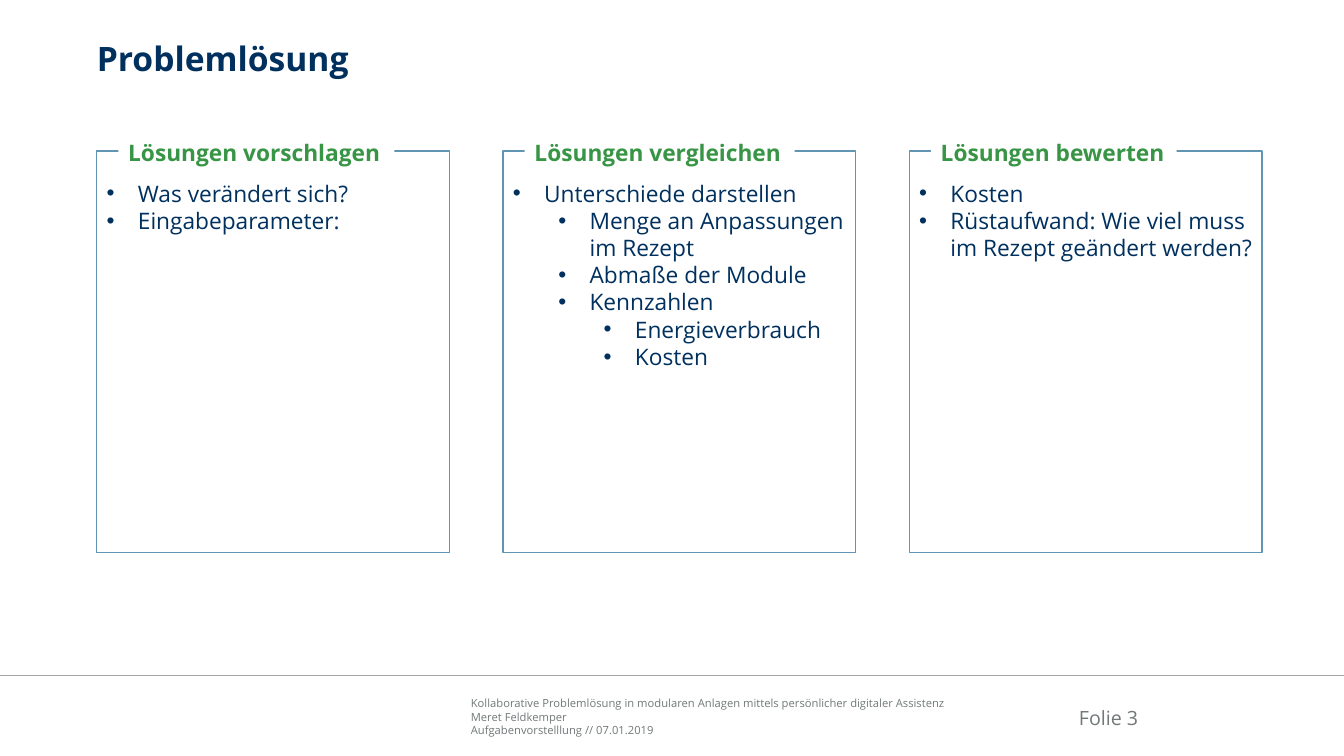
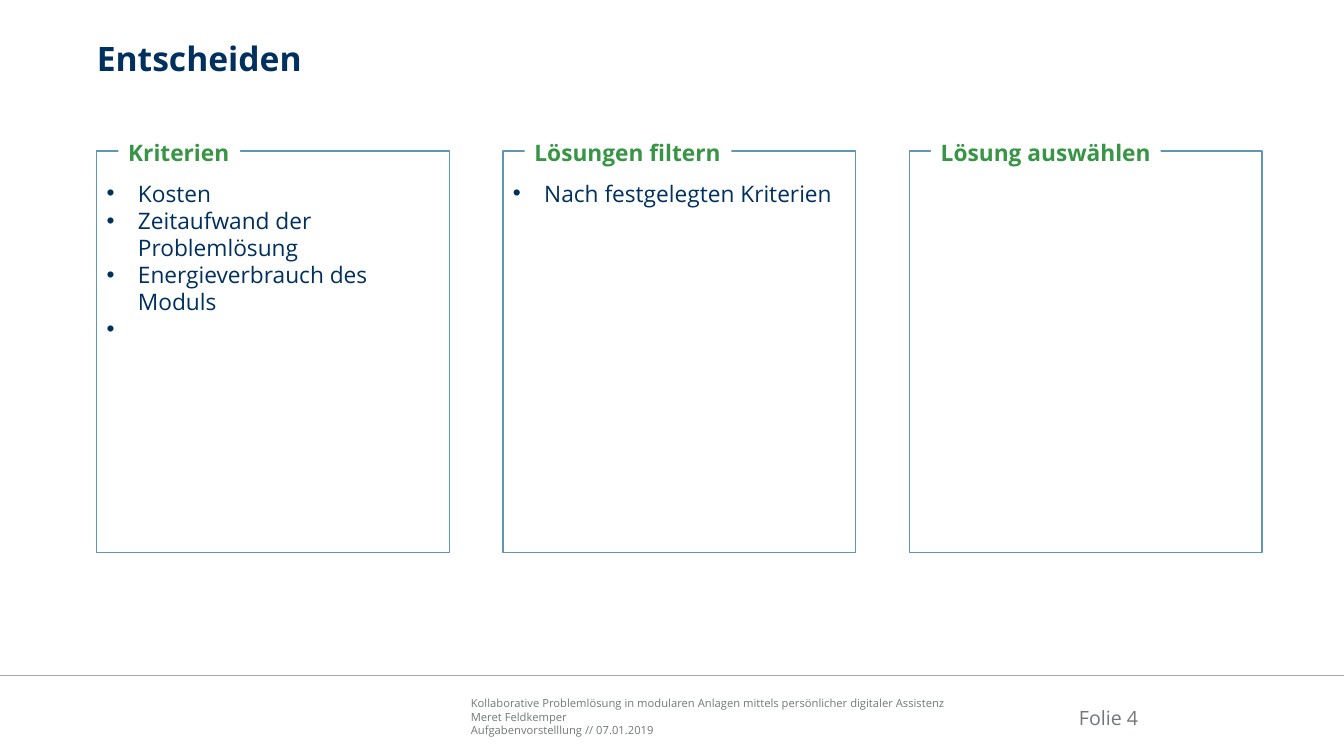
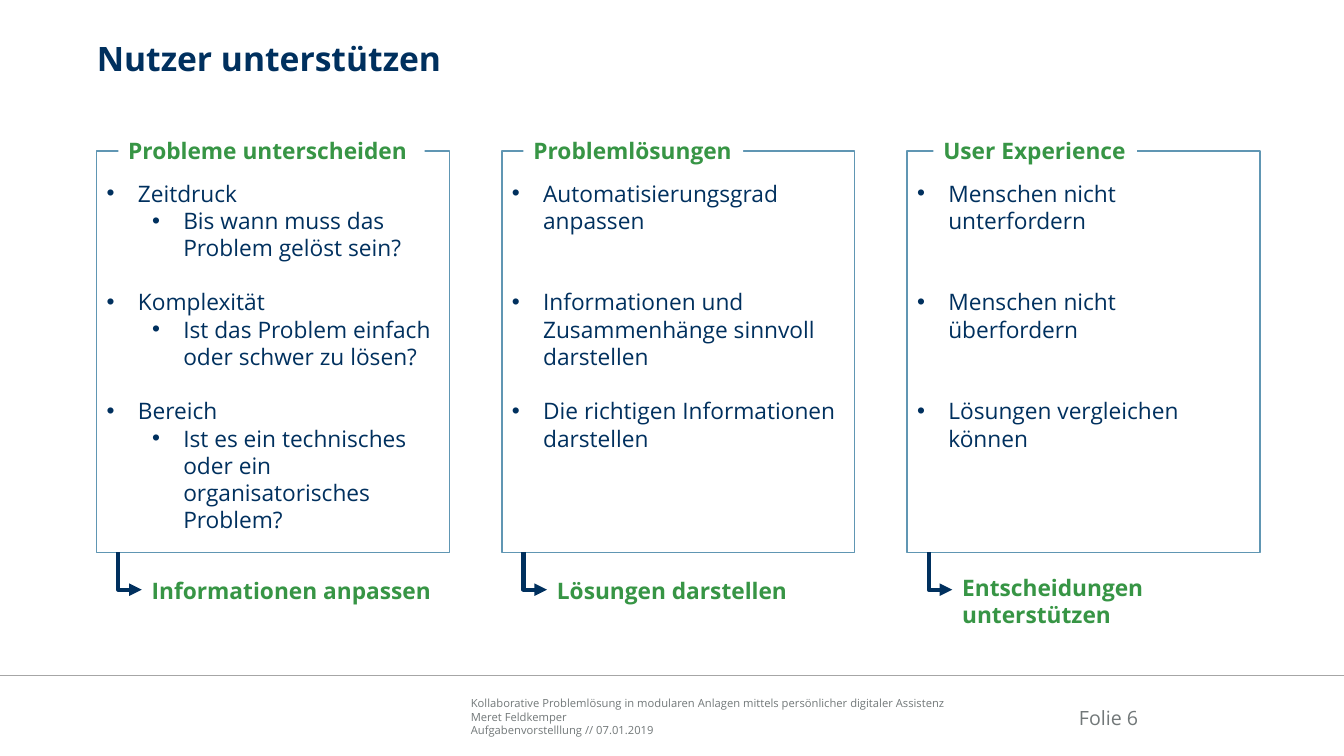
from lxml import etree
from pptx import Presentation
from pptx import util as u
from pptx.dml.color import RGBColor
from pptx.enum import shapes, text
from pptx.oxml.ns import qn

NAVY = RGBColor(0x00, 0x30, 0x5E)
GREEN = RGBColor(0x37, 0x95, 0x45)
STEEL = RGBColor(0x60, 0x96, 0xB3)
GREY = RGBColor(0x72, 0x78, 0x79)
RULE = RGBColor(0xA6, 0xA6, 0xA6)
WHITE = RGBColor(0xFF, 0xFF, 0xFF)
FONT = "Open Sans"
BODY = 16.2
LINE = BODY * 1.2
TOP, MIDDLE, BOTTOM = text.MSO_ANCHOR.TOP, text.MSO_ANCHOR.MIDDLE, text.MSO_ANCHOR.BOTTOM

prs = Presentation()
prs.slide_width, prs.slide_height = u.Inches(13.33), u.Inches(7.5)
COL, ROW = prs.slide_width / 100, prs.slide_height / 100
LEFT, CARD_W = 7.2, 26.25
CARD_TOP, CARD_H = 20, 53.07
CARD_END = CARD_TOP + CARD_H
ARROW_IN, ARROW_W, ARROW_H = 1.6, 1.75, 4.93

FOOTER = [
    "Kollaborative Problemlösung in modularen Anlagen mittels persönlicher digitaler Assistenz",
    "Meret Feldkemper",
    "Aufgabenvorstelllung // 07.01.2019",
]

SLIDES = [
    ("Problemlösung", 3, 30.23, 5.47, [
        ("Lösungen vorschlagen", 1.6, 20.55, [
            (0, "Was verändert sich?", 0),
            (0, "Eingabeparameter:", 0)], None),
        ("Lösungen vergleichen", 1.6, 20.1, [
            (0, "Unterschiede darstellen", 0),
            (1, "Menge an Anpassungen im Rezept", 0),
            (1, "Abmaße der Module", 0),
            (1, "Kennzahlen", 0),
            (2, "Energieverbrauch", 0),
            (2, "Kosten", 0)], None),
        ("Lösungen bewerten", 1.6, 18.3, [
            (0, "Kosten", 0),
            (0, "Rüstaufwand: Wie viel muss im Rezept geändert werden?", 0)], None),
    ]),
    ("Entscheiden", 4, 30.23, 5.47, [
        ("Kriterien", 1.6, 9.08, [
            (0, "Kosten", 0),
            (0, "Zeitaufwand der Problemlösung", 0),
            (0, "Energieverbrauch des Moduls", 0),
            (0, " ", 0)], None),
        ("Lösungen filtern", 1.6, 15.4, [
            (0, "Nach festgelegten Kriterien", 0)], None),
        ("Lösung auswählen", 1.6, 17.1, [], None),
    ]),
    ("Nutzer unterstützen", 6, 30.15, 4.93, [
        ("Probleme unterscheiden", 1.6, 22.8, [
            (0, "Zeitdruck", 0),
            (1, "Bis wann muss das Problem gelöst sein?", 0),
            (0, "Komplexität", 1),
            (1, "Ist das Problem einfach oder schwer zu lösen?", 0),
            (0, "Bereich", 1),
            (1, "Ist es ein technisches oder ein organisatorisches Problem?", 0)],
         ("Informationen anpassen", 75.6, 22.8, 4.93)),
        ("Problemlösungen", 1.6, 16.35, [
            (0, "Automatisierungsgrad anpassen", 0),
            (0, "Informationen und Zusammenhänge sinnvoll darstellen", 2),
            (0, "Die richtigen Informationen darstellen", 1)],
         ("Lösungen darstellen", 75.6, 19, 4.93)),
        ("User Experience", 1.95, 15.15, [
            (0, "Menschen nicht unterfordern", 0),
            (0, "Menschen nicht überfordern", 2),
            (0, "Lösungen vergleichen können", 2)],
         ("Entscheidungen unterstützen", 75.33, 23.5, 8.4)),
    ]),
]


def add_box(s, x, y, w, h, paras, size, color, bold=False, fill=None, line=None,
            anchor=TOP, inset=(0, 0, 0, 0), align=text.PP_ALIGN.LEFT):
    sp = s.shapes.add_shape(shapes.MSO_SHAPE.RECTANGLE, *(
        round(v) for v in (x * COL, y * ROW, w * COL, h * ROW)))
    sp.shadow.inherit = False
    for part, rgb in ((sp.fill, fill), (sp.line.fill, line)):
        if rgb is None:
            part.background()
        else:
            part.solid()
            part.fore_color.rgb = rgb
    if line is not None:
        sp.line.width = u.Pt(1)
    tf = sp.text_frame
    tf.word_wrap = True
    tf.vertical_anchor = anchor
    tf.margin_left, tf.margin_top, tf.margin_right, tf.margin_bottom = map(u.Inches, inset)
    for i, words in enumerate(paras):
        p = tf.paragraphs[0] if i == 0 else tf.add_paragraph()
        p.alignment = align
        r = p.add_run()
        r.text = words
        r.font.name, r.font.size, r.font.bold = FONT, u.Pt(size), bold
        r.font.color.rgb = color
    return tf


def add_line(s, kind, x1, y1, x2, y2, color, width):
    c = s.shapes.add_connector(kind, *(round(v) for v in (x1, y1, x2, y2)))
    c.line.color.rgb = color
    c.line.width = u.Pt(width)
    etree.SubElement(c._element.spPr, qn("a:effectLst"))
    return c


for title, number, pitch, head_h, cards in SLIDES:
    s = prs.slides.add_slide(prs.slide_layouts[6])
    add_box(s, 35.03, 92.13, 36.83, 5.33, FOOTER, 8, GREY, anchor=BOTTOM)
    add_line(s, shapes.MSO_CONNECTOR.STRAIGHT, 0, 89.33 * ROW, 100 * COL, 89.33 * ROW, RULE, 1)
    add_box(s, 77.27, 91.6, 7.43, 6.67, [f"Folie {number}"], 14, GREY,
            anchor=MIDDLE, align=text.PP_ALIGN.RIGHT)
    add_box(s, LEFT, 5.07, 86.8, 10, [title], 24, NAVY, bold=True)

    for i, (head, head_in, head_w, items, result) in enumerate(cards):
        x = LEFT + i * pitch
        tf = add_box(s, x, CARD_TOP, CARD_W, CARD_H, [t for _, t, _ in items], BODY, NAVY,
                     fill=WHITE, line=STEEL, inset=(0.1, 0.28, 0.1, 0.05))
        for p, (level, _, gap) in zip(tf.paragraphs, items):
            p.level = level
            p.space_before = u.Pt(gap * LINE)
            pPr = p._p.get_or_add_pPr()
            pPr.set("marL", str(u.Inches(0.31 + 0.45 * level)))
            pPr.set("indent", str(u.Inches(-0.31)))
            etree.SubElement(pPr, qn("a:buFont")).set("typeface", "Arial")
            etree.SubElement(pPr, qn("a:buChar")).set("char", "•")
        labels = [(head, head_in, 17.47, head_w, head_h)]
        if result:
            words, y, w, h = result
            labels.append((words, ARROW_IN + ARROW_W, y, w, h))
        for words, dx, y, w, h in labels:
            add_box(s, x + dx, y, w, h, [words], BODY, GREEN, bold=True, fill=WHITE,
                    anchor=MIDDLE, inset=(0.1, 0.05, 0.1, 0.05))
        if result:
            cx = (x + ARROW_IN + ARROW_W / 2) * COL
            cy = (CARD_END + ARROW_H / 2) * ROW
            dx, dy = ARROW_H * ROW / 2, ARROW_W * COL / 2
            c = add_line(s, shapes.MSO_CONNECTOR.ELBOW, cx + dx, cy - dy, cx - dx, cy + dy, NAVY, 3)
            spPr = c._element.spPr
            spPr.find(qn("a:xfrm")).set("rot", str(270 * 60000))
            spPr.find(qn("a:prstGeom")).set("prst", "bentConnector2")
            etree.SubElement(spPr.find(qn("a:ln")), qn("a:tailEnd")).set("type", "triangle")

prs.save("out.pptx")
